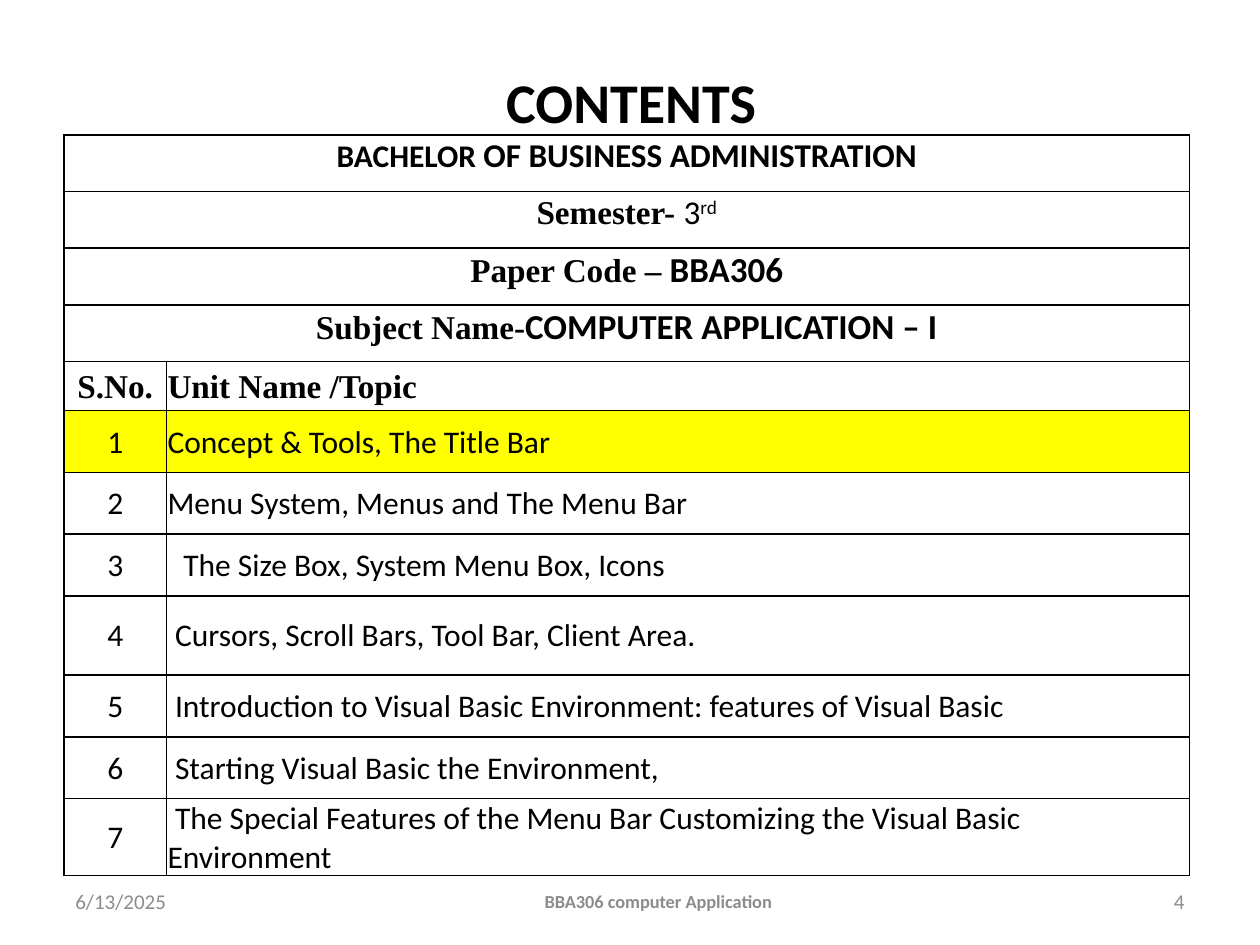
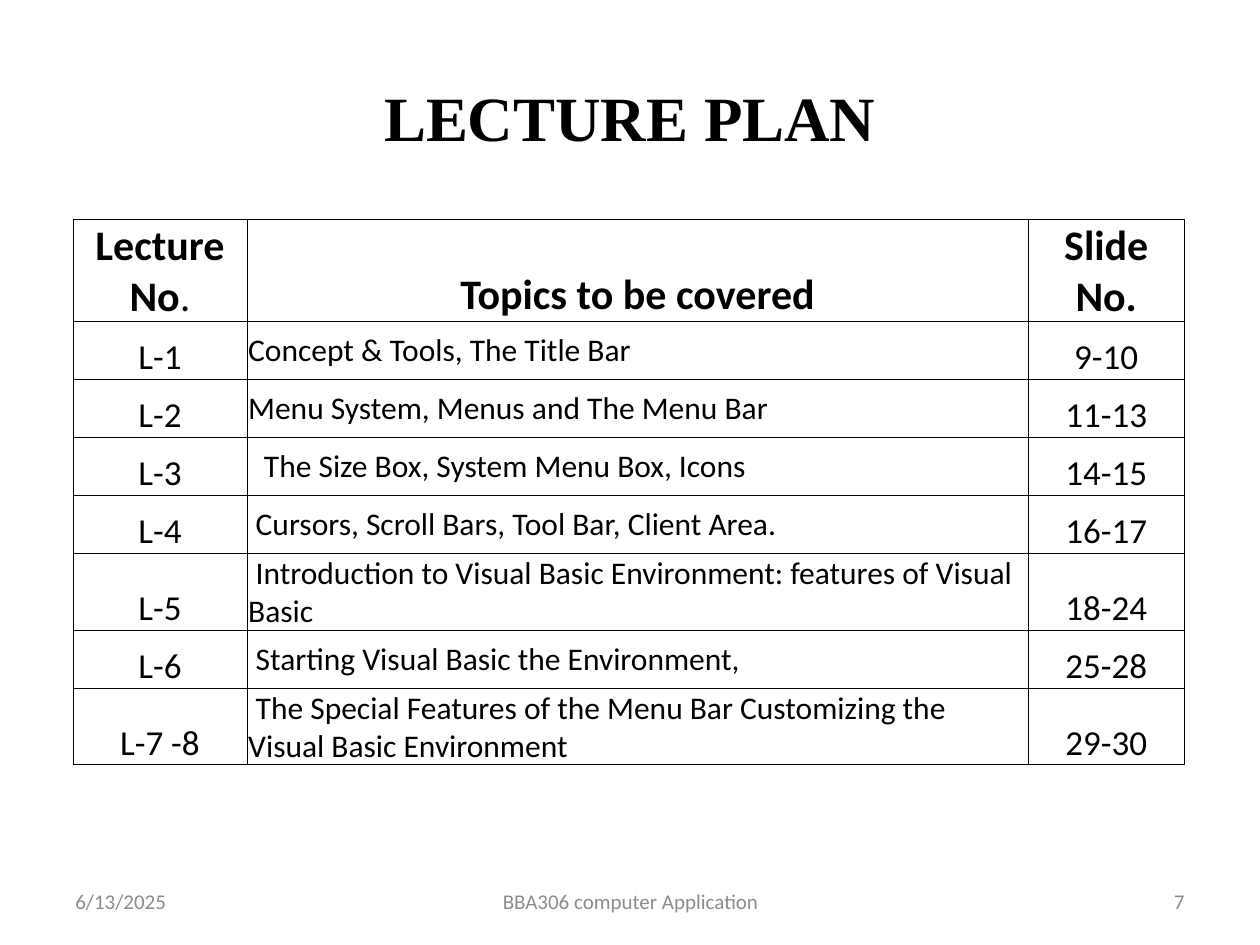
import lxml.etree
import pptx
import pptx.dml.color
import pptx.enum.text
import pptx.oxml.ns
import pptx.util

Inches = pptx.util.Inches
Pt = pptx.util.Pt
RGBColor = pptx.dml.color.RGBColor
ALIGN = pptx.enum.text.PP_ALIGN
ANCHOR = pptx.enum.text.MSO_ANCHOR

# Shared style
BLACK = RGBColor(0x00, 0x00, 0x00)
GREY = RGBColor(0x8C, 0x8C, 0x8C)
YELLOW = RGBColor(0xFF, 0xFF, 0x00)
SANS = "Calibri"
SERIF = "Times New Roman"
TITLE_SIZE = (9, 1.25)
FOOTER_TOP, FOOTER_HEIGHT = 6.95, 0.4

# Content: a run is (text, size, font, bold)
DATE = "6/13/2025"
COURSE = "BBA306 computer Application"

COURSE_LINES = [
    [("BACHELOR ", 18, SANS, True), ("OF BUSINESS ADMINISTRATION", 19, SANS, True)],
    [("Semester- ", 19, SERIF, True), ("3", 19, SANS, False), ("rd", 19, SANS, False)],
    [("Paper Code – ", 19, SERIF, True), ("BBA306", 20, SANS, True)],
    [("Subject Name-", 19, SERIF, True), ("COMPUTER APPLICATION – I", 20, SANS, True)],
]
UNIT_HEADINGS = [("S.No.", ALIGN.CENTER), ("Unit Name /Topic", ALIGN.JUSTIFY)]

# Topic, first-line indent in inches, lecture, slides
TOPICS = [
    ("Concept & Tools, The Title Bar", 0, "L-1", "9-10"),
    ("Menu System, Menus and The Menu Bar", 0, "L-2", "11-13"),
    ("The Size Box, System Menu Box, Icons", 0.125, "L-3", "14-15"),
    ("Cursors, Scroll Bars, Tool Bar, Client Area.", 0.06, "L-4", "16-17"),
    ("Introduction to Visual Basic Environment: features of Visual Basic", 0.06, "L-5", "18-24"),
    ("Starting Visual Basic the Environment,", 0.06, "L-6", "25-28"),
    ("The Special Features of the Menu Bar Customizing the Visual Basic Environment",
     0.06, "L-7 -8", "29-30"),
]
CURRENT_UNIT = 1
PLAN_HEADINGS = [
    [("Lecture No", 24, SANS, True), (".", 24, SANS, False)],
    [("Topics to be covered", 24, SANS, True)],
    [("Slide No.", 24, SANS, True)],
]

CONTENTS_COLUMNS = [0.81, 8.12]
CONTENTS_ROWS = [0.45] * 4 + [0.39] + [0.49] * 3 + [0.63] + [0.49] * 3
PLAN_COLUMNS = [1.38, 6.2, 1.24]
PLAN_ROWS = [0.46] * (1 + len(TOPICS))


def write(paragraph, runs, align=ALIGN.LEFT, color=BLACK):
    paragraph.alignment = align
    for text, size, font, bold in runs:
        run = paragraph.add_run()
        run.text = text
        run.font.size = Pt(size)
        run.font.name = font
        run.font.bold = bold
        run.font.color.rgb = color


def add_text(slide, left, top, width, height, run, align, color=BLACK):
    box = slide.shapes.add_textbox(Inches(left), Inches(top), Inches(width), Inches(height))
    box.text_frame.word_wrap = True
    box.text_frame.vertical_anchor = ANCHOR.MIDDLE
    write(box.text_frame.paragraphs[0], [run], align, color)


def add_frame(presentation, title, font, size, left, top, number,
              course_width, course_size, course_bold):
    """Add a slide with its title and footers."""
    slide = presentation.slides.add_slide(presentation.slide_layouts[6])
    add_text(slide, left, top, *TITLE_SIZE, (title, size, font, True), ALIGN.CENTER)
    footers = [
        (0.5, 2.33, DATE, 12, False, ALIGN.LEFT),
        (3.42, course_width, COURSE, course_size, course_bold, ALIGN.CENTER),
        (7.17, 2.33, number, 12, False, ALIGN.RIGHT),
    ]
    for x, width, text, points, bold, align in footers:
        add_text(slide, x, FOOTER_TOP, width, FOOTER_HEIGHT,
                 (text, points, SANS, bold), align, GREY)
    return slide


def draw_borders(cell, points):
    properties = cell._tc.get_or_add_tcPr()
    qn = pptx.oxml.ns.qn
    for side in ("lnL", "lnR", "lnT", "lnB"):
        line = lxml.etree.SubElement(properties, qn("a:" + side), w=str(Pt(points)))
        fill = lxml.etree.SubElement(line, qn("a:solidFill"))
        lxml.etree.SubElement(fill, qn("a:srgbClr"), val=str(BLACK))


def add_grid(slide, left, top, columns, rows, border):
    frame = slide.shapes.add_table(len(rows), len(columns), Inches(left), Inches(top),
                                   Inches(sum(columns)), Inches(sum(rows)))
    table = frame.table
    table.first_row = table.horz_banding = False
    for column, width in zip(table.columns, columns):
        column.width = Inches(width)
    for row, height in zip(table.rows, rows):
        row.height = Inches(height)
    for cell in table.iter_cells():
        cell.margin_left = cell.margin_right = cell.margin_top = Inches(0.01)
        cell.margin_bottom = 0
        draw_borders(cell, border)
        cell.fill.background()
    return table


def fill_cell(cell, runs, align=ALIGN.CENTER, anchor=ANCHOR.MIDDLE, indent=0):
    cell.vertical_anchor = anchor
    paragraph = cell.text_frame.paragraphs[0]
    write(paragraph, runs, align)
    if indent:
        paragraph._p.get_or_add_pPr().set("indent", str(Inches(indent)))


def fill_topic(cell, topic, indent):
    fill_cell(cell, [(topic, 18, SANS, False)], ALIGN.LEFT, indent=indent)


def build_contents(presentation):
    slide = add_frame(presentation, "CONTENTS", SANS, 32, 0.51, 0.18, "4", 3.61, 10.5, True)
    table = add_grid(slide, 0.51, 1.07, CONTENTS_COLUMNS, CONTENTS_ROWS, 1)

    # Course details across both columns
    for row, runs in enumerate(COURSE_LINES):
        table.cell(row, 0).merge(table.cell(row, 1))
        fill_cell(table.cell(row, 0), runs, anchor=ANCHOR.TOP)
    ordinal = table.cell(1, 0).text_frame.paragraphs[0].runs[-1]
    ordinal.font._element.set("baseline", "30000")

    # Units
    heading_row = len(COURSE_LINES)
    for column, (text, align) in enumerate(UNIT_HEADINGS):
        fill_cell(table.cell(heading_row, column), [(text, 19, SERIF, True)], align)
    for unit, (topic, indent, _, _) in enumerate(TOPICS, 1):
        number_cell, topic_cell = table.rows[heading_row + unit].cells
        fill_cell(number_cell, [(str(unit), 18, SANS, False)])
        fill_topic(topic_cell, topic, indent)
        if unit == CURRENT_UNIT:
            for cell in (number_cell, topic_cell):
                cell.fill.solid()
                cell.fill.fore_color.rgb = YELLOW


def build_lecture_plan(presentation):
    slide = add_frame(presentation, "LECTURE PLAN", SERIF, 36, 0.5, 0.3, "7", 3.17, 12, False)
    table = add_grid(slide, 0.58, 1.74, PLAN_COLUMNS, PLAN_ROWS, 0.5)
    for column, runs in enumerate(PLAN_HEADINGS):
        fill_cell(table.cell(0, column), runs, anchor=ANCHOR.BOTTOM)
    for row, (topic, indent, lecture, slides) in enumerate(TOPICS, 1):
        fill_topic(table.cell(row, 1), topic, indent)
        for column, text in ((0, lecture), (2, slides)):
            fill_cell(table.cell(row, column), [(text, 20, SANS, False)], anchor=ANCHOR.BOTTOM)


def main():
    presentation = pptx.Presentation()
    presentation.slide_width = Inches(10)
    presentation.slide_height = Inches(7.5)
    build_contents(presentation)
    build_lecture_plan(presentation)
    presentation.save("out.pptx")


if __name__ == "__main__":
    main()
